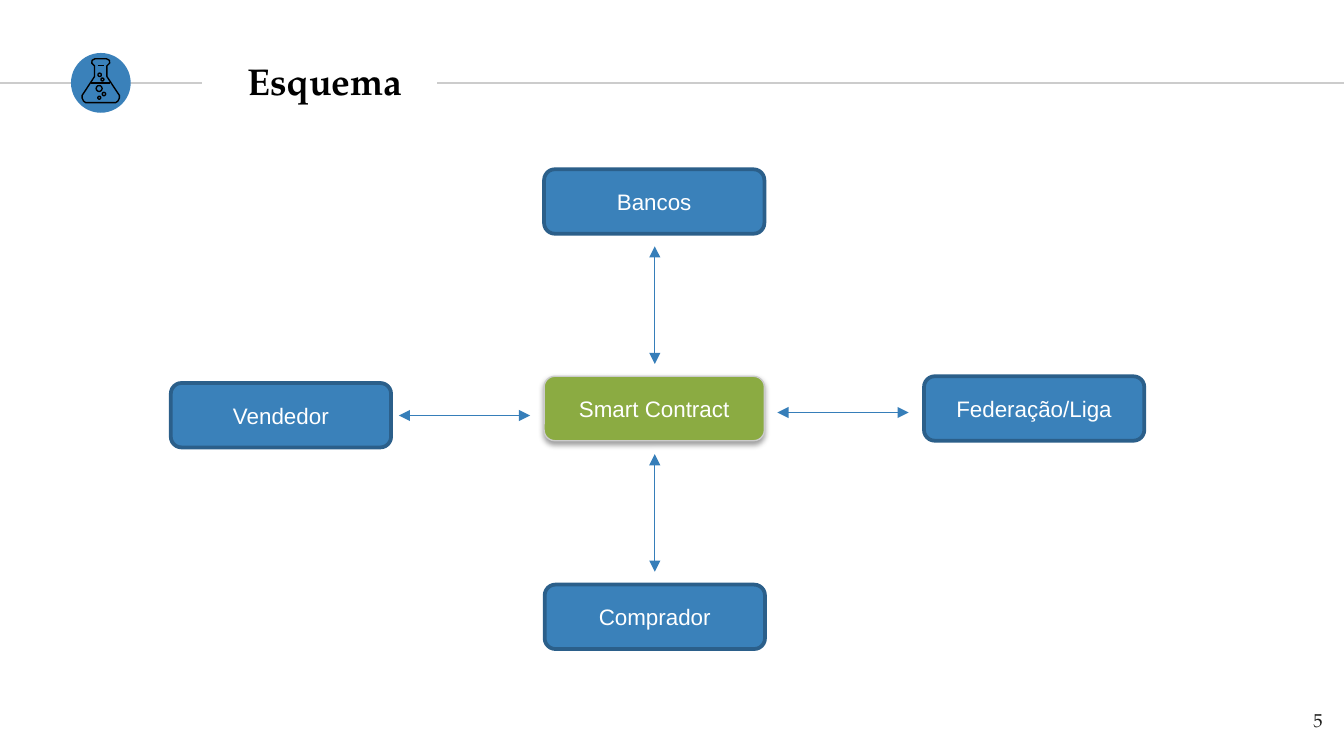
import pptx
import pptx.dml.color
import pptx.enum.shapes
import pptx.enum.text
import pptx.oxml
import pptx.oxml.ns
import pptx.util

Pt = pptx.util.Pt
SHAPES = pptx.enum.shapes.MSO_SHAPE
ALIGN = pptx.enum.text.PP_ALIGN
ANCHOR = pptx.enum.text.MSO_ANCHOR
NAMESPACE = pptx.oxml.ns.nsdecls("a")

BLUE, DARK_BLUE, ARROW_BLUE = "3A81BA", "2B5F8A", "367EB9"
GREEN, GRAY, BLACK, WHITE = "8BAB42", "CCCCCC", "000000", "FFFFFF"
SERIF, SANS = "TeX Gyre Pagella", "Arial"
BOX_WIDTH, BOX_HEIGHT = 118, 34.5
ICON_X, ICON_Y, ICON_RADIUS = 54, 44.4, 16


def color(value):
    return pptx.dml.color.RGBColor.from_string(value)


def apply(target, values):
    for name, value in values.items():
        setattr(target, name, value)


class Diagram:
    title_font = {"name": SERIF, "size": Pt(20), "bold": True}
    number_font = {"name": SERIF, "size": Pt(10)}
    box_font = {"name": SANS, "size": Pt(12)}

    def __init__(self, slide):
        self.slide = slide

    def set_text(self, shape, text, font, font_color, align, anchor, inset):
        frame = shape.text_frame
        margins = {f"margin_{side}": Pt(inset) for side in ("left", "top", "right", "bottom")}
        apply(frame, {"word_wrap": True, "vertical_anchor": anchor, **margins})
        frame.text = text
        paragraph = frame.paragraphs[0]
        paragraph.alignment = align
        apply(paragraph.font, font)
        paragraph.font.color.rgb = color(font_color)

    def paint(self, shape, fill=None, line=None, width=0.75):
        shape.shadow.inherit = False
        if fill:
            shape.fill.solid()
            shape.fill.fore_color.rgb = color(fill)
        else:
            shape.fill.background()
        if line:
            shape.line.color.rgb = color(line)
            shape.line.width = Pt(width)
        else:
            shape.line.fill.background()

    def title(self, text, left, top, width, height):
        shape = self.slide.shapes.title
        apply(shape, {"left": Pt(left), "top": Pt(top), "width": Pt(width), "height": Pt(height)})
        self.set_text(shape, text, self.title_font, BLACK, ALIGN.LEFT, ANCHOR.MIDDLE, 7.2)

    def page_number(self, text, left, top, width, height):
        shape = self.slide.shapes.add_textbox(Pt(left), Pt(top), Pt(width), Pt(height))
        self.set_text(shape, text, self.number_font, "1D1D1B", ALIGN.RIGHT, ANCHOR.TOP, 7.2)

    def circle(self, x, y, radius, fill=None, line=None):
        shape = self.slide.shapes.add_shape(
            SHAPES.OVAL, Pt(x - radius), Pt(y - radius), Pt(2 * radius), Pt(2 * radius))
        self.paint(shape, fill, line)

    def box(self, text, left, top, fill=BLUE, line=DARK_BLUE, width=2):
        shape = self.slide.shapes.add_shape(
            SHAPES.ROUNDED_RECTANGLE, Pt(left), Pt(top), Pt(BOX_WIDTH), Pt(BOX_HEIGHT))
        self.paint(shape, fill, line, width)
        self.set_text(shape, text, self.box_font, WHITE, ALIGN.CENTER, ANCHOR.MIDDLE, 3.6)
        return shape

    def cast_shadow(self, shape):
        effects = shape._element.spPr.find(pptx.oxml.ns.qn("a:effectLst"))
        effects.append(pptx.oxml.parse_xml(
            f'<a:outerShdw {NAMESPACE} blurRad="{Pt(3.1)}" dist="{Pt(1.6)}" dir="5400000" '
            'rotWithShape="0"><a:srgbClr val="000000"><a:alpha val="38000"/>'
            '</a:srgbClr></a:outerShdw>'))

    def line(self, x1, y1, x2, y2, line_color, arrows=False):
        connector = self.slide.shapes.add_connector(
            pptx.enum.shapes.MSO_CONNECTOR.STRAIGHT, Pt(x1), Pt(y1), Pt(x2), Pt(y2))
        connector.line.color.rgb = color(line_color)
        connector.line.width = Pt(0.75)
        properties = connector._element.spPr
        properties.append(pptx.oxml.parse_xml(f"<a:effectLst {NAMESPACE}/>"))
        if arrows:
            outline = connector.line._get_or_add_ln()
            for end in ("headEnd", "tailEnd"):
                outline.append(pptx.oxml.parse_xml(f'<a:{end} {NAMESPACE} type="triangle"/>'))

    def outline(self, points):
        start, *rest = [(Pt(x), Pt(y)) for x, y in points]
        builder = self.slide.shapes.build_freeform(*start)
        builder.add_line_segments(rest, close=True)
        self.paint(builder.convert_to_shape(), line=BLACK)


def main():
    presentation = pptx.Presentation()
    presentation.slide_width = Pt(720)
    presentation.slide_height = Pt(405)
    slide = presentation.slides.add_slide(presentation.slide_layouts[5])
    diagram = Diagram(slide)

    diagram.line(0, ICON_Y, 108, ICON_Y, GRAY)
    diagram.circle(ICON_X, ICON_Y, ICON_RADIUS, fill=BLUE)
    diagram.line(234.3, ICON_Y, 720, ICON_Y, GRAY)
    diagram.title("Esquema", 125.3, 25.9, 305.3, 34.6)
    diagram.page_number("5", 672.5, 373.7, 43.2, 31)

    contract = diagram.box("Smart Contract", 291.5, 201.6, GREEN, GRAY, 0.75)
    diagram.cast_shadow(contract)
    for text, left, top in (
        ("Bancos", 291.5, 90.7),
        ("Vendedor", 91.5, 205.2),
        ("Comprador", 291.8, 313.2),
        ("Federação/Liga", 495, 201.6),
    ):
        diagram.box(text, left, top)
    for ends in (
        (350.8, 132, 350.8, 195),
        (350.8, 243.3, 350.8, 306.3),
        (213.7, 222.6, 284, 222.6),
        (416.5, 221, 486.8, 221),
    ):
        diagram.line(*ends, ARROW_BLUE, arrows=True)

    profile = [(3.1, 31.5), (4.6, 32.3), (4.8, 33.8), (3.3, 35.3), (3.3, 41),
               (10, 51.2), (10, 52.5), (9.2, 54.2), (8, 55)]
    right = [(ICON_X + offset, y) for offset, y in profile]
    left = [(ICON_X - offset, y) for offset, y in reversed(profile)]
    diagram.outline(right + left)
    for half_width, y in ((5.2, 44.4), (1.7, 35.2)):
        diagram.line(ICON_X - half_width, y, ICON_X + half_width, y, BLACK)
    for x, y, radius in (
        (55.7, 50.4, 0.9),
        (53.1, 47.4, 1.6),
        (53.2, 52.4, 0.8),
        (54.9, 42.6, 0.8),
        (53.4, 40.1, 0.9),
    ):
        diagram.circle(x, y, radius, line=BLACK)

    presentation.save("out.pptx")


if __name__ == "__main__":
    main()
